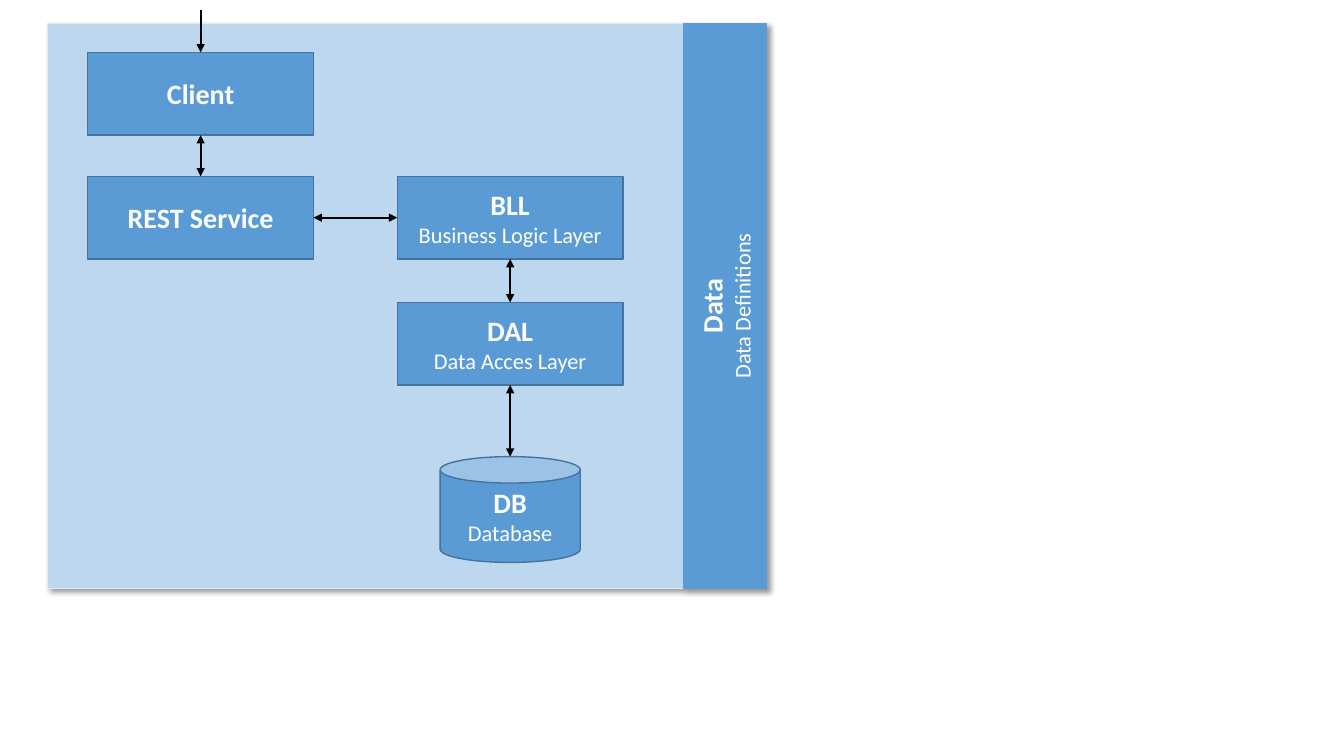
"""Builds the layered architecture slide."""
from lxml import etree
from pptx import Presentation
from pptx.dml.color import RGBColor
from pptx.enum.shapes import MSO_CONNECTOR, MSO_SHAPE
from pptx.enum.text import MSO_ANCHOR, PP_ALIGN
from pptx.oxml.ns import qn
from pptx.util import Inches, Pt

RECTANGLE, CAN = MSO_SHAPE.RECTANGLE, MSO_SHAPE.CAN
STRAIGHT = MSO_CONNECTOR.STRAIGHT
MIDDLE, CENTER = MSO_ANCHOR.MIDDLE, PP_ALIGN.CENTER

COLORS = {
    "panel": "BDD7EE", "panel_line": "DEEBF7", "node": "5B9BD5",
    "node_line": "43739E", "text": "FFFFFF", "arrow": "000000",
}
FONT = "Calibri"
PAGE_WIDTH, PAGE_HEIGHT = 13.33, 7.5
NODE_WIDTH, NODE_HEIGHT = 2.24, 0.82
COLUMNS = {"front": 1.99, "back": 5.06}
ROWS = {"client": 0.52, "service": 1.75, "access": 3.0, "storage": 4.53}
PANEL = (0.47, 0.23, 6.31, 5.61)
ARROW_START = 0.1


def color(name):
    """Return the named colour."""
    return RGBColor.from_string(COLORS[name])


def add_shadow(shape):
    """Give a shape a soft shadow to the lower right."""
    effects = shape._element.spPr.find(qn("a:effectLst"))
    shadow = etree.SubElement(
        effects, qn("a:outerShdw"), blurRad=str(Pt(4)), dist=str(Pt(3)),
        dir=str(45 * 60000), algn="tl", rotWithShape="0")
    tint = etree.SubElement(shadow, qn("a:srgbClr"), val="000000")
    etree.SubElement(tint, qn("a:alpha"), val="40000")


def add_text(para, text, size, bold=False):
    """Write one centred line in a paragraph."""
    para.alignment = CENTER
    span = para.add_run()
    span.text = text
    span.font.name, span.font.size, span.font.bold = FONT, Pt(size), bold
    span.font.color.rgb = color("text")


def add_box(page, place, kind=RECTANGLE, title="", subtitle="", fill="node",
            line="node_line", line_width=1, rotation=0, shadow=False):
    """Draw a filled box with an optional title and subtitle."""
    box = page.shapes.add_shape(kind, *map(Inches, place))
    box.shadow.inherit = False
    box.rotation = rotation
    box.fill.solid()
    box.fill.fore_color.rgb = color(fill)
    box.line.color.rgb = color(line)
    box.line.width = Pt(line_width)
    if shadow:
        add_shadow(box)
    frame = box.text_frame
    frame.word_wrap = True
    frame.vertical_anchor = MIDDLE
    if title:
        add_text(frame.paragraphs[0], title, 20, bold=True)
    if subtitle:
        add_text(frame.add_paragraph(), subtitle, 16)
    return box


def add_node(page, column, row, title, subtitle="", kind=RECTANGLE,
             width=NODE_WIDTH, height=NODE_HEIGHT):
    """Draw a layer centred on a column, with its top on a row."""
    place = (COLUMNS[column] - width / 2, ROWS[row], width, height)
    add_box(page, place, kind, title, subtitle)


def add_arrow(page, start, end, both=True):
    """Draw an arrow between two points."""
    arrow = page.shapes.add_connector(STRAIGHT, *map(Inches, start + end))
    arrow.line.color.rgb = color("arrow")
    arrow.line.width = Pt(1.5)
    outline = arrow.line._get_or_add_ln()
    for tag in ("a:headEnd", "a:tailEnd") if both else ("a:tailEnd",):
        etree.SubElement(outline, qn(tag), type="triangle")
    etree.SubElement(arrow._element.spPr, qn("a:effectLst"))


def add_link(page, column, upper, lower):
    """Join two rows of a column with a double arrow."""
    middle = COLUMNS[column]
    add_arrow(page, (middle, ROWS[lower]), (middle, ROWS[upper] + NODE_HEIGHT))


def add_sidebar(page):
    """Draw the upright data bar along the panel's right edge."""
    left, top, width, height = PANEL
    place = (left + width + (NODE_HEIGHT - height) / 2,
             top + (height - NODE_HEIGHT) / 2, height, NODE_HEIGHT)
    add_box(page, place, title="Data", subtitle="Data Definitions",
            line="node", rotation=270, shadow=True)


def main():
    """Build and save the slide."""
    deck = Presentation()
    deck.slide_width, deck.slide_height = Inches(PAGE_WIDTH), Inches(PAGE_HEIGHT)
    page = deck.slides.add_slide(deck.slide_layouts[6])

    add_box(page, PANEL, fill="panel", line="panel_line", line_width=0.5,
            shadow=True)
    add_node(page, "back", "storage", "DB", "Database", CAN, 1.39, 1.05)
    add_node(page, "back", "access", "DAL", "Data Acces Layer")
    add_node(page, "back", "service", "BLL", "Business Logic Layer")
    add_node(page, "front", "service", "REST Service")
    add_node(page, "front", "client", "Client")

    service_middle = ROWS["service"] + NODE_HEIGHT / 2
    add_arrow(page, (COLUMNS["front"] + NODE_WIDTH / 2, service_middle),
              (COLUMNS["back"] - NODE_WIDTH / 2, service_middle))
    add_link(page, "front", "client", "service")
    add_link(page, "back", "service", "access")
    add_link(page, "back", "access", "storage")
    add_arrow(page, (COLUMNS["front"], ARROW_START),
              (COLUMNS["front"], ROWS["client"]), both=False)
    add_sidebar(page)
    deck.save("out.pptx")


if __name__ == "__main__":
    main()
